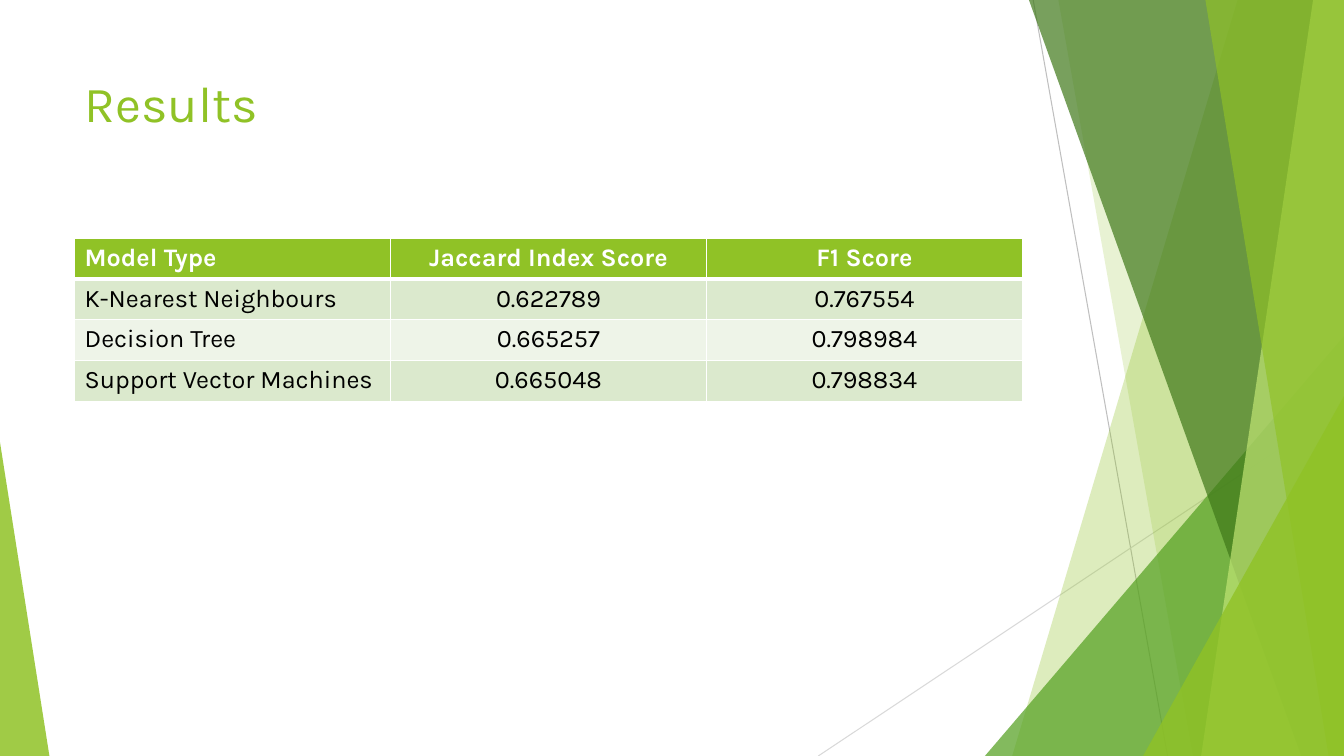
from lxml.etree import SubElement as Sub
from pptx import Presentation
from pptx.dml.color import RGBColor as Rgb
from pptx.enum.shapes import MSO_CONNECTOR as Conn, MSO_SHAPE as Shape
from pptx.enum.text import MSO_ANCHOR as Anchor, PP_ALIGN as Align
from pptx.oxml.ns import qn
from pptx.util import Pt

WIDE, HIGH = 960, 540
FONT = "Karla"
HEX = {
    "lime": "90C226", "leaf": "54A021", "moss": "3F7819", "pale": "C0E474",
    "gray": "BFBFBF", "mist": "D9D9D9", "white": "FFFFFF", "black": "000000",
    "odd": "DBE9CD", "even": "EEF4E8",
}
TITLE = "Results"
ROWS = [
    ("Model Type", "Jaccard Index Score", "F1 Score"),
    ("K-Nearest Neighbours", "0.622789", "0.767554"),
    ("Decision Tree", "0.665257", "0.798984"),
    ("Support Vector Machines", "0.665048", "0.798834"),
]
LINES = [("gray", 738, 0, 834, HIGH), ("mist", WIDE, 290, 584.5, HIGH)]
# Bands: colour, opacity, x of the left edge at the top and at the bottom.
# Peaks: colour, opacity, left, top, right, apex position.
FACETS = [
    ("lime", 30, 884, 723),
    ("lime", 20, 756, 852),
    ("leaf", 72, 703.5, 240, WIDE, 1),
    ("moss", 70, 735, 929.5),
    ("pale", 70, 938, 858),
    ("lime", 65, 861, 949),
    ("lime", 80, 816.5, 283, WIDE, 1),
    ("lime", 85, 0, 316, 35.3, 0),
]
LEFT, SPAN = 53.3, 677
ROW = 29.2


def color(name):
    return Rgb.from_string(HEX[name])


def paint(shape, name, alpha):
    shape.shadow.inherit = False
    shape.line.fill.background()
    shape.fill.solid()
    shape.fill.fore_color.rgb = color(name)
    tint = shape.fill._xPr.find(".//" + qn("a:srgbClr"))
    Sub(tint, qn("a:alpha"), val=str(alpha * 1000))


def band(shapes, top, low):
    """Fill from a slanted left edge to the right side of the slide."""
    form = shapes.build_freeform(Pt(top), 0)
    form.add_line_segments(
        [(Pt(x), Pt(y)) for x, y in ((WIDE, 0), (WIDE, HIGH), (low, HIGH))])
    return form.convert_to_shape()


def peak(shapes, left, top, right, apex):
    shape = shapes.add_shape(Shape.ISOSCELES_TRIANGLE, Pt(left), Pt(top),
                             Pt(right - left), Pt(HIGH - top))
    shape.adjustments[0] = apex
    return shape


def style(para, size, name, bold=False):
    for run in para.runs:
        run.font.name = FONT
        run.font.size = Pt(size)
        run.font.bold = bold
        run.font.color.rgb = color(name)


def border(cell, row):
    props = cell._tc.get_or_add_tcPr()
    for side in "LRTB":
        thick = (row, side) in ((0, "B"), (1, "T"))
        line = Sub(props, qn("a:ln" + side), w=str(Pt(3 if thick else 1)))
        fill = Sub(line, qn("a:solidFill"))
        Sub(fill, qn("a:srgbClr"), val=HEX["white"])


def backdrop(shapes):
    for name, x1, y1, x2, y2 in LINES:
        line = shapes.add_connector(Conn.STRAIGHT, Pt(x1), Pt(y1),
                                    Pt(x2), Pt(y2))
        line.line.color.rgb = color(name)
        line.line.width = Pt(0.75)
        Sub(line._element.spPr, qn("a:effectLst"))
    for name, alpha, *place in FACETS:
        draw = band if len(place) == 2 else peak
        paint(draw(shapes, *place), name, alpha)


def heading(shapes):
    frame = shapes.add_textbox(Pt(LEFT), Pt(48), Pt(SPAN), Pt(104)).text_frame
    frame.word_wrap = True
    frame.vertical_anchor = Anchor.TOP
    frame.text = TITLE
    style(frame.paragraphs[0], 36, "lime")


def scores(shapes):
    table = shapes.add_table(len(ROWS), len(ROWS[0]), Pt(LEFT), Pt(170),
                             Pt(SPAN), Pt(ROW * len(ROWS))).table
    for r, texts in enumerate(ROWS):
        table.rows[r].height = Pt(ROW)
        back = "lime" if r == 0 else "odd" if r % 2 else "even"
        for c, text in enumerate(texts):
            cell = table.cell(r, c)
            border(cell, r)
            cell.fill.solid()
            cell.fill.fore_color.rgb = color(back)
            cell.text_frame.text = text
            para = cell.text_frame.paragraphs[0]
            para.alignment = Align.CENTER if c else Align.LEFT
            style(para, 18, "black" if r else "white", bold=r == 0)


def main():
    deck = Presentation()
    deck.slide_width, deck.slide_height = Pt(WIDE), Pt(HIGH)
    shapes = deck.slides.add_slide(deck.slide_layouts[6]).shapes
    backdrop(shapes)
    heading(shapes)
    scores(shapes)
    deck.save("out.pptx")


if __name__ == "__main__":
    main()
